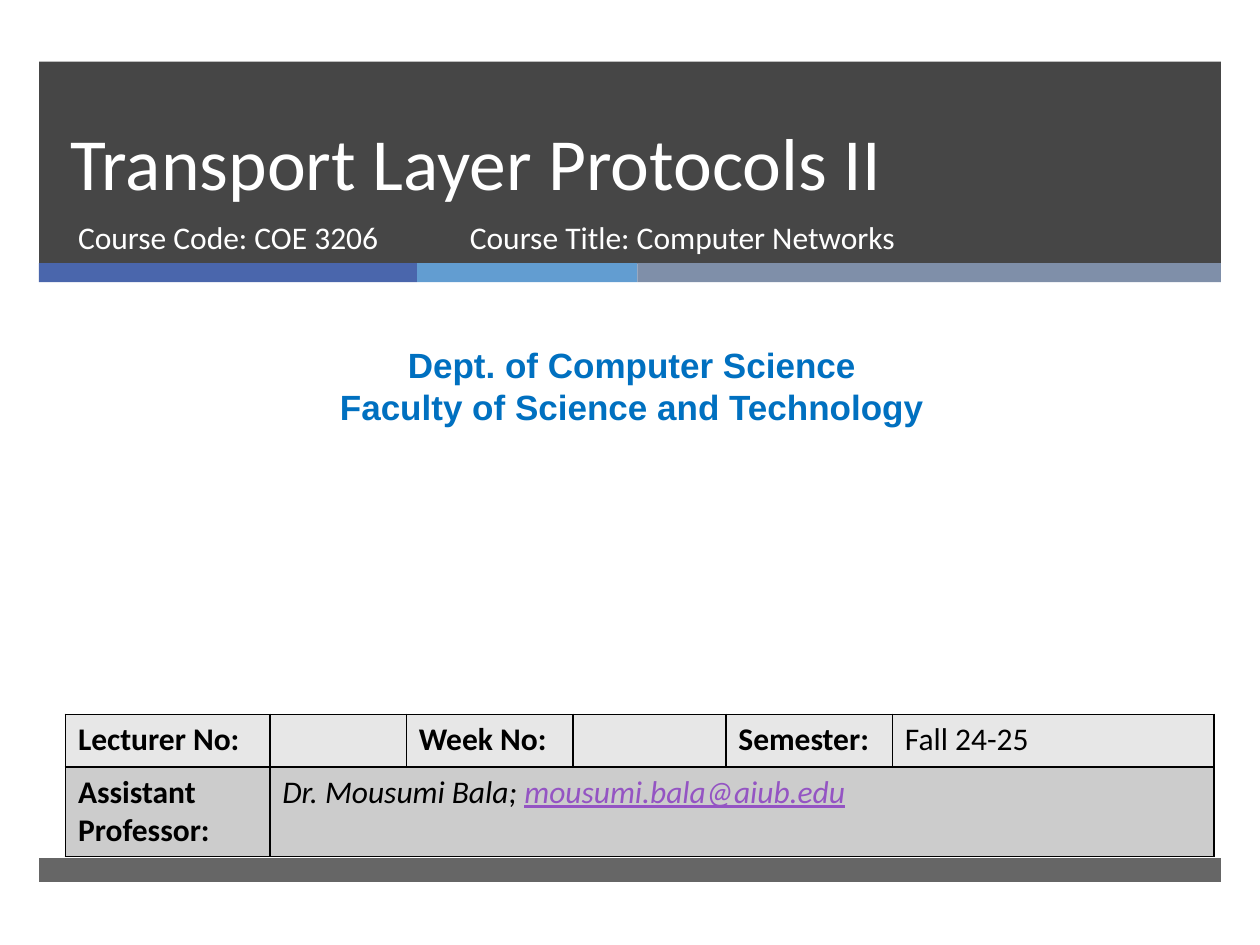
from lxml.etree import SubElement
from pptx import Presentation
from pptx.dml.color import RGBColor
from pptx.enum.shapes import MSO_SHAPE
from pptx.enum.text import MSO_ANCHOR, MSO_AUTO_SIZE, PP_ALIGN
from pptx.oxml.ns import qn
from pptx.util import Pt


def color(hex_value):
    return RGBColor.from_string(hex_value)


class CoverSlide:
    DARK, WHITE, BLACK = "262626", "FFFFFF", "000000"
    BLUE, VIOLET = "0070C0", "9454C3"
    BODY = {"name": "Calibri", "size": Pt(18), "bold": False}
    LABEL = {**BODY, "bold": True}
    TITLE = {**BODY, "size": Pt(42)}
    DEPARTMENT = {"name": "Arial", "size": Pt(20), "bold": True}

    def __init__(self, deck):
        self.slide = deck.slides.add_slide(deck.slide_layouts[0])
        self.shapes = self.slide.shapes

    def add_words(self, paragraph, text, style, hex_value):
        run = paragraph.add_run()
        run.text = text
        for attribute, value in style.items():
            setattr(run.font, attribute, value)
        run.font.color.rgb = color(hex_value)

    def bar(self, left, top, width, height, hex_value, opacity=100):
        bar = self.shapes.add_shape(
            MSO_SHAPE.RECTANGLE, Pt(left), Pt(top), Pt(width), Pt(height))
        bar.shadow.inherit = False
        bar.line.fill.background()
        bar.fill.solid()
        bar.fill.fore_color.rgb = color(hex_value)
        if opacity < 100:
            tint = bar._element.spPr.find(qn("a:solidFill"))[0]
            SubElement(tint, qn("a:alpha"), val=str(opacity * 1000))

    def fill_text(self, holder, lines, style, hex_value,
                  align=PP_ALIGN.LEFT, anchor=MSO_ANCHOR.TOP, spacing=1.0):
        frame = holder.text_frame
        settings = {"word_wrap": True, "auto_size": MSO_AUTO_SIZE.NONE,
                    "vertical_anchor": anchor}
        for attribute, value in settings.items():
            setattr(frame, attribute, value)
        for number, line in enumerate(lines):
            paragraph = frame.add_paragraph() if number else frame.paragraphs[0]
            paragraph.alignment = align
            paragraph.line_spacing = spacing
            paragraph.space_before = Pt(0)
            self.add_words(paragraph, line, style, hex_value)

    def placeholder(self, index, left, top, width, height, text, style, **layout):
        holder = self.slide.placeholders[index]
        place = {"left": left, "top": top, "width": width, "height": height}
        for attribute, value in place.items():
            setattr(holder, attribute, Pt(value))
        self.shapes._spTree.append(holder._element)  # in front of the bars
        self.fill_text(holder, [text], style, self.WHITE, **layout)

    def text(self, left, top, width, height, lines, style, hex_value, **layout):
        box = self.shapes.add_textbox(Pt(left), Pt(top), Pt(width), Pt(height))
        self.fill_text(box, lines, style, hex_value, **layout)

    def format_cell(self, cell, hex_value):
        properties = cell._tc.get_or_add_tcPr()
        for side in ("lnL", "lnR", "lnT", "lnB"):
            border = SubElement(properties, qn(f"a:{side}"), w=str(Pt(1)))
            paint = SubElement(border, qn("a:solidFill"))
            SubElement(paint, qn("a:srgbClr"), val=self.BLACK)
        cell.fill.solid()
        cell.fill.fore_color.rgb = color(hex_value)

    def table(self, left, top, widths, heights, fills):
        table = self.shapes.add_table(
            len(heights), len(widths), Pt(left), Pt(top),
            Pt(sum(widths)), Pt(sum(heights))).table
        for column, width in zip(table.columns, widths):
            column.width = Pt(width)
        for row, height, hex_value in zip(table.rows, heights, fills):
            row.height = Pt(height)
            for cell in row.cells:
                self.format_cell(cell, hex_value)
                cell.text_frame.paragraphs[0].font.size = Pt(18)
        return table


def main():
    deck = Presentation()
    deck.slide_width, deck.slide_height = Pt(720), Pt(540)
    cover = CoverSlide(deck)

    # Header band, coloured strip and footer band
    left, width = 22.3, 675.4
    cover.bar(left, 35.2, width, 115.5, cover.DARK, 85)
    strip_left = left
    for part, hex_value in ((216, "4A66AC"), (126, "629DD1"), (333.4, "7F8FA9")):
        cover.bar(strip_left, 150.4, part, 10.8, hex_value)
        strip_left += part
    cover.bar(left, 490.3, width, 13.7, cover.DARK, 70)

    # Title and course details
    cover.placeholder(0, 33.1, 35.3, 614.9, 85.7, "Transport Layer Protocols II",
                      cover.TITLE, anchor=MSO_ANCHOR.BOTTOM, spacing=Pt(46))
    cover.placeholder(1, 37.4, 121, 219.6, 38.2, "Course Code: COE 3206", cover.BODY)
    cover.text(261.4, 121, 327.6, 38.2, ["Course Title: Computer Networks"],
               cover.BODY, cover.WHITE)

    # Department
    cover.text(5.8, 193, 710.6, 55.4,
               ["Dept. of Computer Science", "Faculty of Science and Technology"],
               cover.DEPARTMENT, cover.BLUE, align=PP_ALIGN.CENTER)

    # Lecture details
    details = cover.table(37.4, 408.2, (116.8, 78, 95.2, 87.4, 95.2, 183.8),
                          (30.2, 50.2), ("E7E7E7", "CCCCCC"))
    details.cell(1, 1).merge(details.cell(1, 5))
    entries = [
        (0, 0, "Lecturer No:", cover.LABEL),
        (0, 2, "Week No:", cover.LABEL),
        (0, 4, "Semester:", cover.LABEL),
        (0, 5, "Fall 24-25", cover.BODY),
        (1, 0, "Assistant Professor:", cover.LABEL),
        (1, 1, "Dr. Mousumi Bala; ", {**cover.BODY, "italic": True}),
    ]
    for row, column, entry, style in entries:
        paragraph = details.cell(row, column).text_frame.paragraphs[0]
        cover.add_words(paragraph, entry, style, cover.BLACK)
    lecturer = details.cell(1, 1).text_frame.paragraphs[0]
    cover.add_words(lecturer, "mousumi.bala@aiub.edu",
                    {**cover.BODY, "italic": True, "underline": True}, cover.VIOLET)

    deck.save("out.pptx")


if __name__ == "__main__":
    main()
